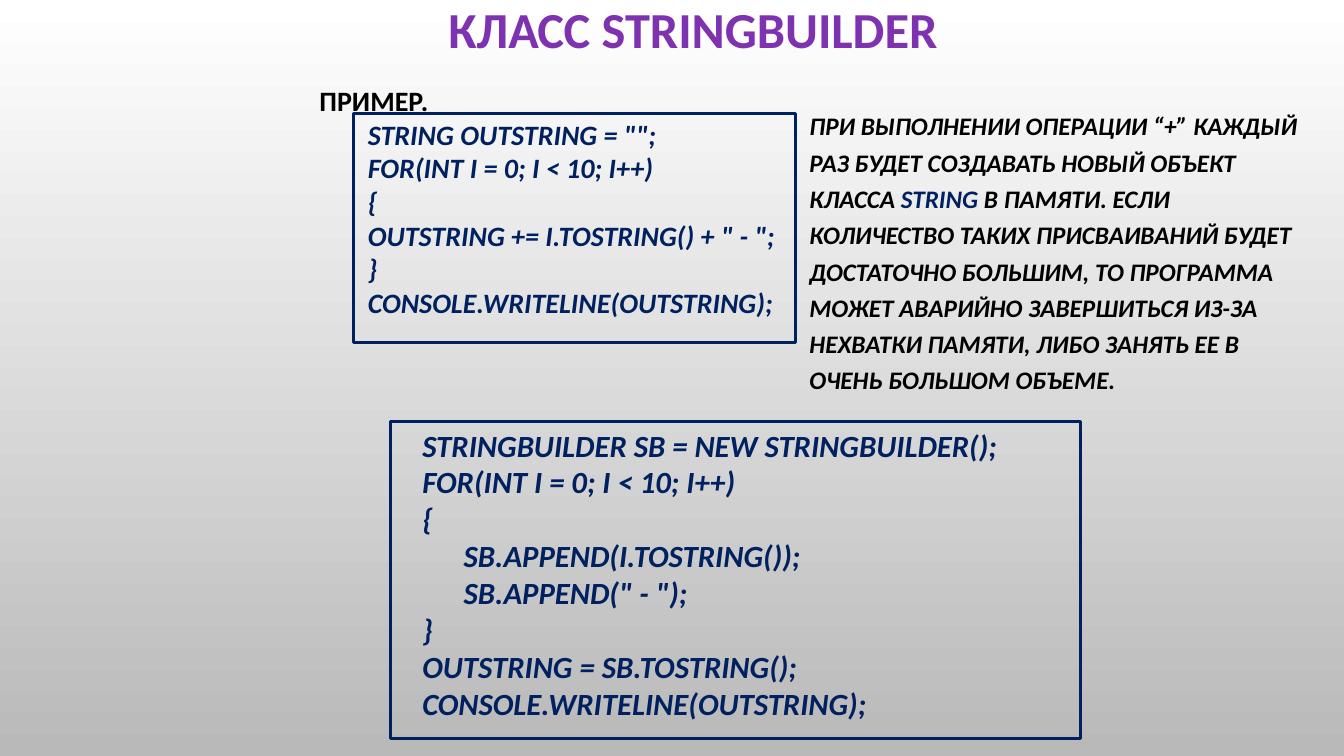
from pptx import Presentation
from pptx.dml.color import RGBColor
from pptx.enum import shapes, text
from pptx.util import Inches, Pt

PURPLE = RGBColor(0x7E, 0x32, 0xB0)
NAVY = RGBColor(0x00, 0x20, 0x60)
BLACK = RGBColor(0, 0, 0)
WHITE = RGBColor(0xFF, 0xFF, 0xFF)
GRAY = RGBColor(0xB9, 0xB9, 0xB9)
CODE_INDENT = 0.68
NESTED_INDENT = 1.09


def write(paragraph, *pieces, size=20, color=BLACK, italic=True, indent=0,
          align=text.PP_ALIGN.LEFT, spacing=1.0, font="Calibri"):
    paragraph.alignment = align
    paragraph.line_spacing = spacing
    paragraph._p.get_or_add_pPr().set("marL", str(Inches(indent)))
    for piece in pieces:
        words, shade = piece if isinstance(piece, tuple) else (piece, color)
        run = paragraph.add_run()
        run.text = words
        run.font.name = font
        run.font.size = Pt(size)
        run.font.bold = True
        run.font.italic = italic
        run.font.color.rgb = shade


class SlideBuilder:
    def __init__(self, slide):
        self.slide = slide

    def gradient(self, *colors):
        fill = self.slide.background.fill
        fill.gradient()
        fill.gradient_angle = 270
        for stop, color in zip(fill.gradient_stops, colors):
            stop.color.rgb = color

    def text_box(self, left, top, width, height, lines,
                 anchor=text.MSO_ANCHOR.TOP):
        box = self.slide.shapes.add_textbox(*map(Inches, (left, top, width, height)))
        frame = box.text_frame
        frame.word_wrap = True
        frame.vertical_anchor = anchor
        for index, (pieces, style) in enumerate(lines):
            paragraph = frame.add_paragraph() if index else frame.paragraphs[0]
            write(paragraph, *pieces, **style)

    def outline(self, left, top, width, height):
        border = self.slide.shapes.add_shape(
            shapes.MSO_SHAPE.RECTANGLE, *map(Inches, (left, top, width, height)))
        border.shadow.inherit = False
        border.fill.background()
        border.line.color.rgb = NAVY
        border.line.width = Pt(2.25)


def code(lines, size):
    return [((line.strip(),), dict(size=size, color=NAVY,
             indent=NESTED_INDENT if line.startswith(" ") else CODE_INDENT))
            for line in lines]


deck = Presentation()
deck.slide_width, deck.slide_height = Inches(13.33), Inches(7.5)
builder = SlideBuilder(deck.slides.add_slide(deck.slide_layouts[6]))
builder.gradient(WHITE, GRAY)

title = "КЛАСС\u00a0STRINGBUILDER"
builder.text_box(1.21, 0.03, 11.33, 0.58, [((title,), dict(
    size=36, color=PURPLE, italic=False, align=text.PP_ALIGN.CENTER,
    spacing=0.9))], anchor=text.MSO_ANCHOR.MIDDLE)

explanation = (
    "ПРИ ВЫПОЛНЕНИИ ОПЕРАЦИИ “+” КАЖДЫЙ РАЗ БУДЕТ СОЗДАВАТЬ НОВЫЙ ОБЪЕКТ "
    "КЛАССА\u00a0",
    ("STRING", NAVY),
    "\u00a0В ПАМЯТИ. ЕСЛИ КОЛИЧЕСТВО ТАКИХ ПРИСВАИВАНИЙ БУДЕТ ДОСТАТОЧНО "
    "БОЛЬШИМ, ТО ПРОГРАММА МОЖЕТ АВАРИЙНО ЗАВЕРШИТЬСЯ ИЗ-ЗА НЕХВАТКИ ПАМЯТИ, "
    "ЛИБО ЗАНЯТЬ ЕЕ В ОЧЕНЬ БОЛЬШОМ ОБЪЕМЕ.",
)
builder.text_box(7.93, 0.99, 5.22, 5.63,
                 [(explanation, dict(size=18, spacing=1.2))])

concatenation = [
    'STRING OUTSTRING = "";',
    "FOR(INT I = 0; I < 10; I++)",
    "{",
    'OUTSTRING += I.TOSTRING() + " - ";',
    "}",
    "CONSOLE.WRITELINE(OUTSTRING);",
]
example = (("ПРИМЕР.",), dict(italic=False, indent=0.2))
builder.text_box(2.87, 0.78, 6.67, 2.46, [example] + code(concatenation, 20))

appending = [
    "STRINGBUILDER SB = NEW STRINGBUILDER();",
    "FOR(INT I = 0; I < 10; I++)",
    "{",
    "  SB.APPEND(I.TOSTRING());",
    '  SB.APPEND(" - ");',
    "}",
    "OUTSTRING = SB.TOSTRING();",
    "CONSOLE.WRITELINE(OUTSTRING);",
]
builder.text_box(3.41, 4.18, 7.32, 3.06, code(appending, 22))

builder.outline(3.51, 1.13, 4.38, 2.27)
builder.outline(3.87, 4.18, 6.85, 3.15)

deck.save("out.pptx")
